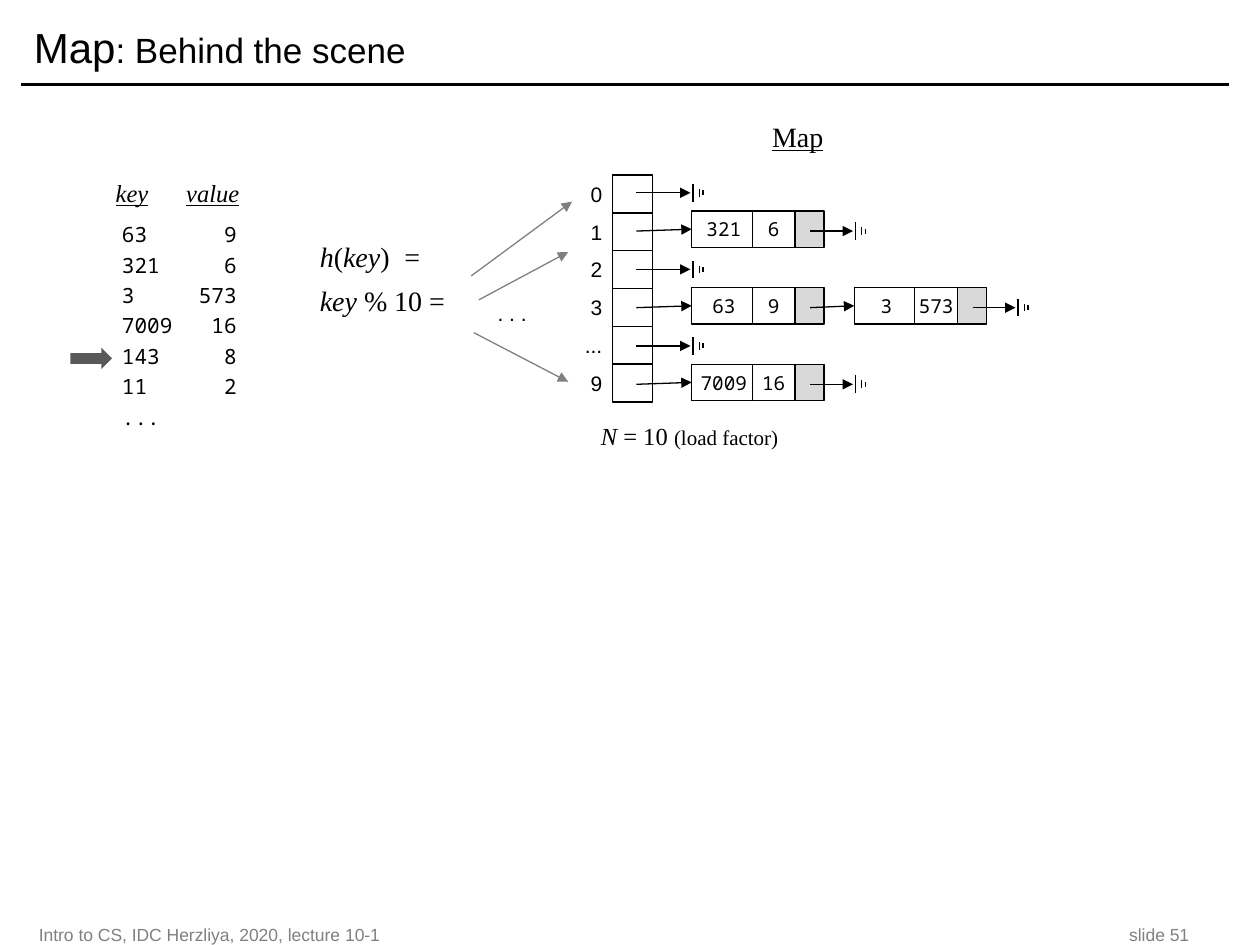
from typing import NamedTuple, Optional

from lxml.etree import SubElement
from pptx import Presentation
from pptx.dml.color import RGBColor
from pptx.enum.shapes import MSO_CONNECTOR, MSO_SHAPE
from pptx.enum.text import MSO_ANCHOR, PP_ALIGN
from pptx.oxml.ns import qn
from pptx.util import Inches, Pt

SANS, MONO, SERIF = "Arial", "Noto Sans Mono", "Times New Roman"
BLACK, GRAY, DARK, LIGHT, WHITE = "000000", "808080", "595959", "D9D9D9", "FFFFFF"
BUCKET_LEFT, BUCKET_TOP, BUCKET_PITCH = 4.86, 1.39, 0.3
ARROW_TOP, ARROW_PITCH = 1.53, 0.304
NODE_LEFT, NODE_PITCH, NODE_HEIGHT = 5.49, 1.29, 0.29


class Run(NamedTuple):
    text: str
    italic: bool = False
    underline: bool = False
    size: Optional[float] = None


class Entry(NamedTuple):
    key: str
    value: str


class Bucket(NamedTuple):
    label: str
    entries: tuple = ()


class HashArrow(NamedTuple):
    start: tuple
    end: tuple


PAIRS = (Entry("63", "9"), Entry("321", "6"), Entry("3", "573"),
         Entry("7009", "16"), Entry("143", "8"), Entry("11", "2"))
BUCKETS = (
    Bucket("0"),
    Bucket("1", (Entry("321", "6"),)),
    Bucket("2"),
    Bucket("3", (Entry("63", "9"), Entry("3", "573"))),
    Bucket("..."),
    Bucket("9", (Entry("7009", "16"),)),
)
HASH_ARROWS = (
    HashArrow((3.74, 2.19), (4.54, 1.6)),
    HashArrow((3.8, 2.38), (4.51, 2)),
    HashArrow((3.76, 2.64), (4.51, 3.03)),
)


def color(value: str) -> RGBColor:
    return RGBColor.from_string(value)


def write(shape, paragraphs, *, font=SANS, size=12, ink=BLACK, align=PP_ALIGN.LEFT,
          anchor=MSO_ANCHOR.TOP, insets=(0.1, 0.05, 0.1, 0.05), gap=0,
          line_spacing=None, tab=None, tab_align="l"):
    frame = shape.text_frame
    frame.word_wrap = True
    frame.vertical_anchor = anchor
    (frame.margin_left, frame.margin_top,
     frame.margin_right, frame.margin_bottom) = map(Inches, insets)
    for index, runs in enumerate(paragraphs):
        paragraph = frame.add_paragraph() if index else frame.paragraphs[0]
        if tab:
            stops = SubElement(paragraph._p.get_or_add_pPr(), qn("a:tabLst"))
            SubElement(stops, qn("a:tab"), pos=str(Inches(tab)), algn=tab_align)
        paragraph.alignment = align
        if line_spacing:
            paragraph.line_spacing = line_spacing
        if index and gap:
            paragraph.space_before = Pt(gap)
        for part in runs:
            run = paragraph.add_run()
            run.text = part.text
            run.font.name = font
            run.font.size = Pt(part.size or size)
            run.font.italic = part.italic
            run.font.underline = part.underline
            run.font.color.rgb = color(ink)


def add_text(slide, box, paragraphs, **text_format):
    write(slide.shapes.add_textbox(*map(Inches, box)), paragraphs, **text_format)


def add_block(slide, box, fill=None, line=BLACK, kind=MSO_SHAPE.RECTANGLE):
    block = slide.shapes.add_shape(kind, *map(Inches, box))
    block.shadow.inherit = False
    if fill:
        block.fill.solid()
        block.fill.fore_color.rgb = color(fill)
    else:
        block.fill.background()
    if line:
        block.line.color.rgb = color(line)
        block.line.width = Pt(0.75)
    else:
        block.line.fill.background()
    return block


def add_line(slide, start, end, ink=BLACK, width=0.75, arrow=False, target=None):
    line = slide.shapes.add_connector(MSO_CONNECTOR.STRAIGHT, *map(Inches, start + end))
    line.line.color.rgb = color(ink)
    line.line.width = Pt(width)
    if arrow:
        SubElement(line.line._get_or_add_ln(), qn("a:tailEnd"), type="triangle")
    SubElement(line._element.spPr, qn("a:effectLst"))
    if target is not None:
        line.end_connect(target, 1)


def add_ground(slide, x: float, y: float):
    for offset, half in ((0, 0.07), (0.05, 0.03), (0.08, 0.02)):
        add_line(slide, (x + offset, y - half), (x + offset, y + half))


def add_node(slide, entry: Entry, x: float, y: float):
    top = y - 0.16
    cell_format = dict(font=MONO, size=11, align=PP_ALIGN.CENTER,
                       anchor=MSO_ANCHOR.MIDDLE, insets=(0, 0.05, 0, 0.05))
    key_cell = add_block(slide, (x, top, 0.51, NODE_HEIGHT))
    write(key_cell, [[Run(entry.key)]], **cell_format)
    add_block(slide, (x + 0.82, top, 0.23, NODE_HEIGHT), LIGHT)
    value_cell = add_block(slide, (x + 0.48, top, 0.34, NODE_HEIGHT), WHITE)
    write(value_cell, [[Run(entry.value)]], **cell_format)
    return key_cell


def add_bucket(slide, bucket: Bucket, row: int):
    top = BUCKET_TOP + row * BUCKET_PITCH
    y = ARROW_TOP + row * ARROW_PITCH
    add_block(slide, (BUCKET_LEFT, top, 0.32, BUCKET_PITCH))
    add_text(slide, (BUCKET_LEFT - 0.5, top, 0.5, BUCKET_PITCH), [[Run(bucket.label)]],
             align=PP_ALIGN.RIGHT, insets=(0, 0.05, 0.08, 0.05))
    start = 5.05
    for position, entry in enumerate(bucket.entries):
        left = NODE_LEFT + position * NODE_PITCH
        node = add_node(slide, entry, left, y)
        add_line(slide, (start, y), (left, y), arrow=True, target=node)
        start = left + 0.94
    end = NODE_LEFT + len(bucket.entries) * NODE_PITCH - 0.01
    add_line(slide, (start, y), (end, y), arrow=True)
    add_ground(slide, end + 0.02, y)


def main():
    """Build the slide showing how a map stores its entries in hash buckets."""
    deck = Presentation()
    deck.slide_width, deck.slide_height = Inches(10), Inches(7.5)
    slide = deck.slides.add_slide(deck.slide_layouts[6])

    add_line(slide, (0.17, 0.67), (9.75, 0.67), width=2)
    add_text(slide, (0.21, 7.31, 9.5, 0.22),
             [[Run("Intro to CS, IDC Herzliya, 2020, lecture 10-1\tslide 51")]],
             size=10, ink=GRAY, anchor=MSO_ANCHOR.MIDDLE, tab=9.13, tab_align="r")
    add_text(slide, (0.17, 0.08, 9.58, 0.58),
             [[Run("Map", size=24), Run(": Behind the scene")]],
             size=20, anchor=MSO_ANCHOR.MIDDLE)

    add_block(slide, (0.56, 2.76, 0.33, 0.17), DARK, None, MSO_SHAPE.RIGHT_ARROW)
    add_text(slide, (0.82, 1.41, 3.17, 0.33),
             [[Run("key", True, True), Run("\t", True), Run("value", True, True)]],
             font=SERIF, size=14, line_spacing=0.8, tab=0.56)
    add_text(slide, (0.87, 1.71, 2.63, 2.44),
             [[Run(f"{pair.key}\t{pair.value}")] for pair in PAIRS] + [[Run("...")]],
             font=MONO, gap=3, tab=0.91, tab_align="r")

    add_text(slide, (2.44, 1.85, 1.25, 0.72),
             [[Run("h", True), Run("("), Run("key", True), Run(")\t=")],
              [Run("key", True), Run(" % 10 =")]],
             font=SERIF, size=16, gap=6, tab=0.67)
    for arrow in HASH_ARROWS:
        add_line(slide, arrow.start, arrow.end, GRAY, arrow=True)
    add_text(slide, (3.76, 2.34, 0.5, 0.3), [[Run(". . .")]],
             align=PP_ALIGN.RIGHT, insets=(0, 0.05, 0.08, 0.05))

    add_text(slide, (6.03, 0.95, 0.86, 0.33), [[Run("Map", underline=True)]],
             font=SERIF, size=16, line_spacing=0.8)
    for row, bucket in enumerate(BUCKETS):
        add_bucket(slide, bucket, row)
    add_text(slide, (4.67, 3.29, 1.64, 0.34),
             [[Run("N", True), Run(" = 10 "), Run("(load factor)", size=12)]],
             font=SERIF, size=14)

    deck.save("out.pptx")


if __name__ == "__main__":
    main()
